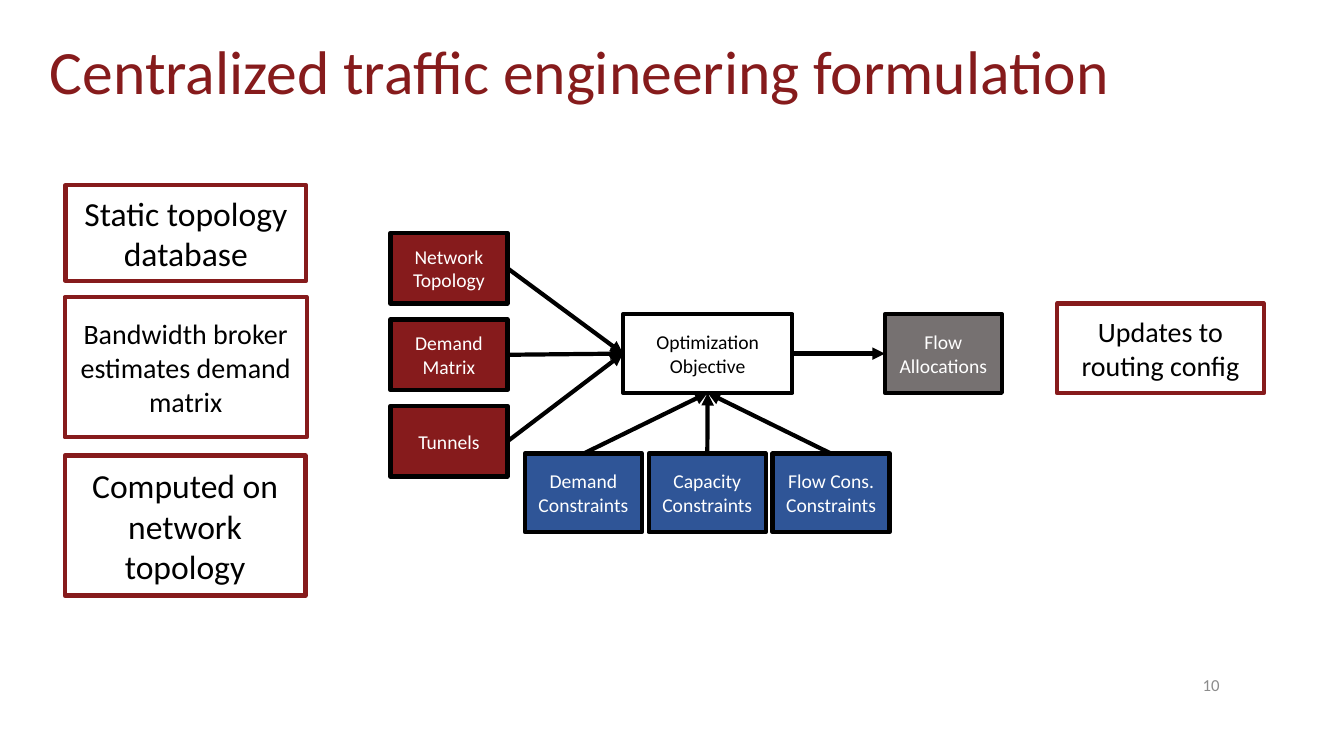
from dataclasses import dataclass
from typing import Optional

import pptx
import pptx.dml.color
import pptx.enum.shapes
import pptx.enum.text
import pptx.oxml
import pptx.oxml.ns
import pptx.util

Cm = pptx.util.Cm
Pt = pptx.util.Pt
ALIGN = pptx.enum.text.PP_ALIGN
TOP, LEFT, BOTTOM, RIGHT = range(4)


@dataclass(frozen=True)
class Theme:
    font: str = "Calibri"
    red: str = "861B1C"
    blue: str = "2F5597"
    gray: str = "767171"
    black: str = "000000"
    white: str = "FFFFFF"
    number: str = "8C8C8C"
    title_size: int = 44
    large_size: int = 24
    medium_size: int = 20
    box_size: int = 14
    number_size: int = 12
    line_width: int = 3


THEME = Theme()


@dataclass(frozen=True)
class Box:
    text: str
    x: float
    y: float
    w: float
    h: float
    fill: Optional[str] = None
    line: str = THEME.black
    color: str = THEME.white
    size: int = THEME.box_size


@dataclass(frozen=True)
class Arrow:
    start: str
    start_site: int
    end: str
    end_site: int


def rgb(value: str) -> pptx.dml.color.RGBColor:
    return pptx.dml.color.RGBColor.from_string(value)


def write_text(tf, text: str, size: int, color: str, align) -> None:
    frame_format = {
        "text": text,
        "word_wrap": True,
        "auto_size": pptx.enum.text.MSO_AUTO_SIZE.NONE,
        "vertical_anchor": pptx.enum.text.MSO_ANCHOR.MIDDLE,
    }
    for name, value in frame_format.items():
        setattr(tf, name, value)
    for p in tf.paragraphs:
        p.alignment = align
        for name, value in {"name": THEME.font, "size": Pt(size)}.items():
            setattr(p.font, name, value)
        p.font.color.rgb = rgb(color)


def place(sp, x: float, y: float, w: float, h: float) -> None:
    for name, value in {"left": x, "top": y, "width": w, "height": h}.items():
        setattr(sp, name, Cm(value))


def draw_box(s, box: Box):
    sp = s.shapes.add_shape(
        pptx.enum.shapes.MSO_SHAPE.RECTANGLE,
        Cm(box.x), Cm(box.y), Cm(box.w), Cm(box.h))
    sp.shadow.inherit = False
    if box.fill:
        sp.fill.solid()
        sp.fill.fore_color.rgb = rgb(box.fill)
    else:
        sp.fill.background()
    sp.line.color.rgb = rgb(box.line)
    sp.line.width = Pt(THEME.line_width)
    write_text(sp.text_frame, box.text, box.size, box.color, ALIGN.CENTER)
    return sp


def draw_arrow(s, arrow: Arrow, shapes: dict) -> None:
    line = s.shapes.add_connector(
        pptx.enum.shapes.MSO_CONNECTOR.STRAIGHT, 0, 0, 0, 0)
    line.begin_connect(shapes[arrow.start], arrow.start_site)
    line.end_connect(shapes[arrow.end], arrow.end_site)
    line.line.color.rgb = rgb(THEME.black)
    line.line.width = Pt(THEME.line_width)
    ns = pptx.oxml.ns.nsdecls("a")
    line.line._get_or_add_ln().append(
        pptx.oxml.parse_xml(f'<a:tailEnd {ns} type="triangle"/>'))
    line._element.spPr.append(pptx.oxml.parse_xml(f"<a:effectLst {ns}/>"))


OBJECTIVE = "Optimization\nObjective"
ALLOCATIONS = "Flow Allocations"
INPUTS = ["Network Topology", "Demand Matrix", "Tunnels"]
CONSTRAINTS = ["Demand Constraints", "Capacity Constraints",
               "Flow Cons. Constraints"]

diagram = [
    Box(OBJECTIVE, 15.7, 7.92, 4.27, 1.98, color=THEME.black),
    Box(ALLOCATIONS, 22.3, 7.92, 2.95, 1.98, THEME.gray),
]
diagram += [Box(text, 9.84, 5.87 + 2.18 * i, 2.95, 1.78, THEME.red)
            for i, text in enumerate(INPUTS)]
diagram += [Box(text, 13.23 + 3.12 * i, 11.43, 2.95, 1.98, THEME.blue)
            for i, text in enumerate(CONSTRAINTS)]

arrows = [Arrow(text, RIGHT, OBJECTIVE, LEFT) for text in INPUTS]
arrows += [Arrow(text, TOP, OBJECTIVE, BOTTOM) for text in CONSTRAINTS]
arrows.append(Arrow(OBJECTIVE, RIGHT, ALLOCATIONS, LEFT))


def callout(text: str, x: float, y: float, w: float, h: float,
            size: int) -> Box:
    return Box(text, x, y, w, h, line=THEME.red, color=THEME.black, size=size)


callouts = [
    callout("Static topology database",
            1.65, 4.67, 6.07, 2.41, THEME.large_size),
    callout("Bandwidth broker estimates demand matrix",
            1.63, 7.49, 6.1, 3.53, THEME.medium_size),
    callout("Computed on network topology",
            1.63, 11.48, 6.07, 3.53, THEME.large_size),
    callout("Updates to routing config",
            26.64, 7.65, 5.21, 2.26, THEME.medium_size),
]


def main() -> None:
    prs = pptx.Presentation()
    prs.slide_width, prs.slide_height = Cm(33.87), Cm(19.05)
    s = prs.slides.add_slide(prs.slide_layouts[5])

    title = s.shapes.title
    place(title, 1, 0.05, 30.15, 3.68)
    write_text(title.text_frame, "Centralized traffic engineering formulation",
               THEME.title_size, THEME.red, ALIGN.LEFT)
    title.text_frame.paragraphs[0].line_spacing = 0.9

    number = s.shapes.add_textbox(Cm(23.37), Cm(16.74), Cm(7.62), Cm(1.02))
    write_text(number.text_frame, "10", THEME.number_size, THEME.number,
               ALIGN.RIGHT)

    shapes = {box.text: draw_box(s, box) for box in diagram}
    for arrow in arrows:
        draw_arrow(s, arrow, shapes)
    for box in callouts:
        draw_box(s, box)

    prs.save("out.pptx")


if __name__ == "__main__":
    main()
